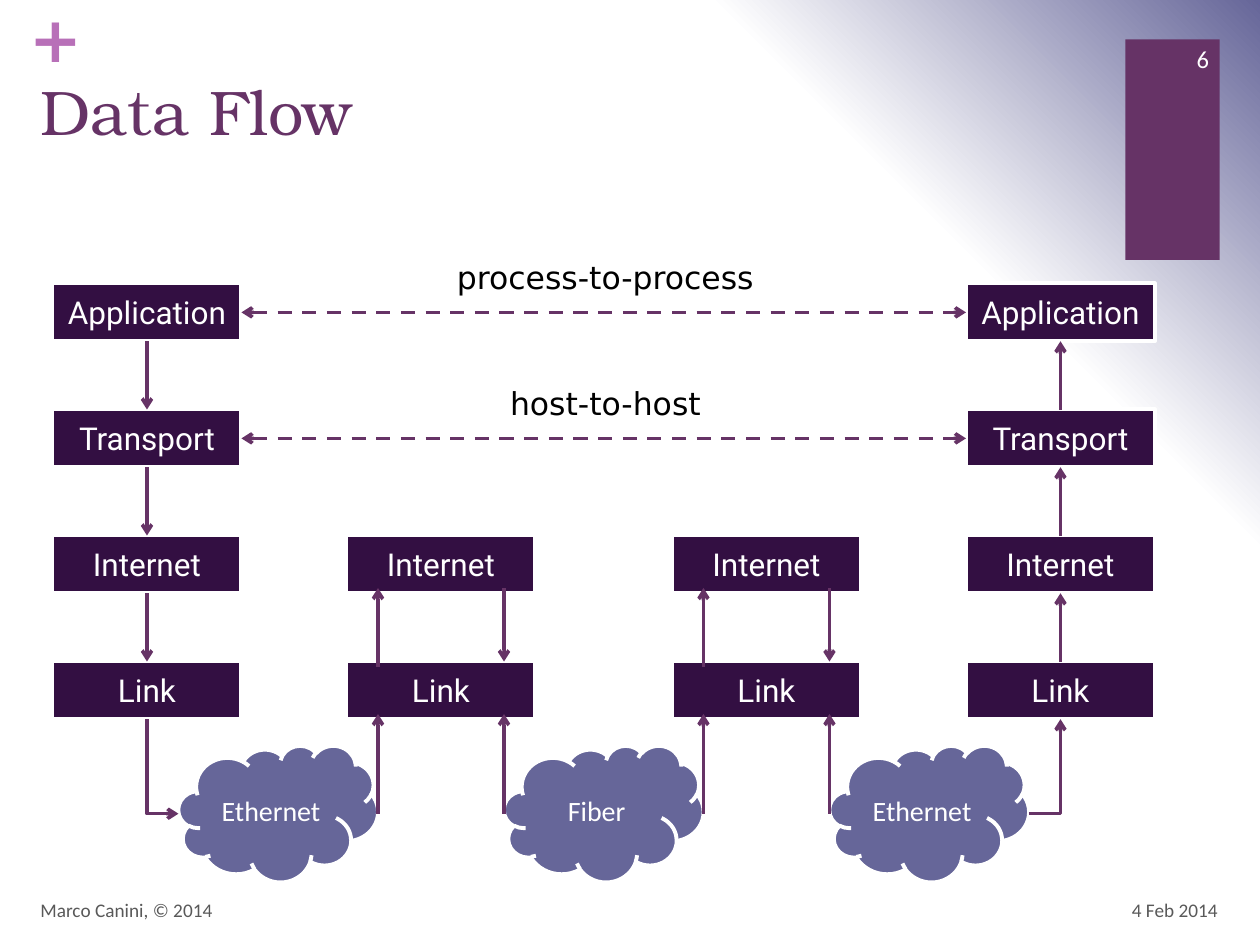
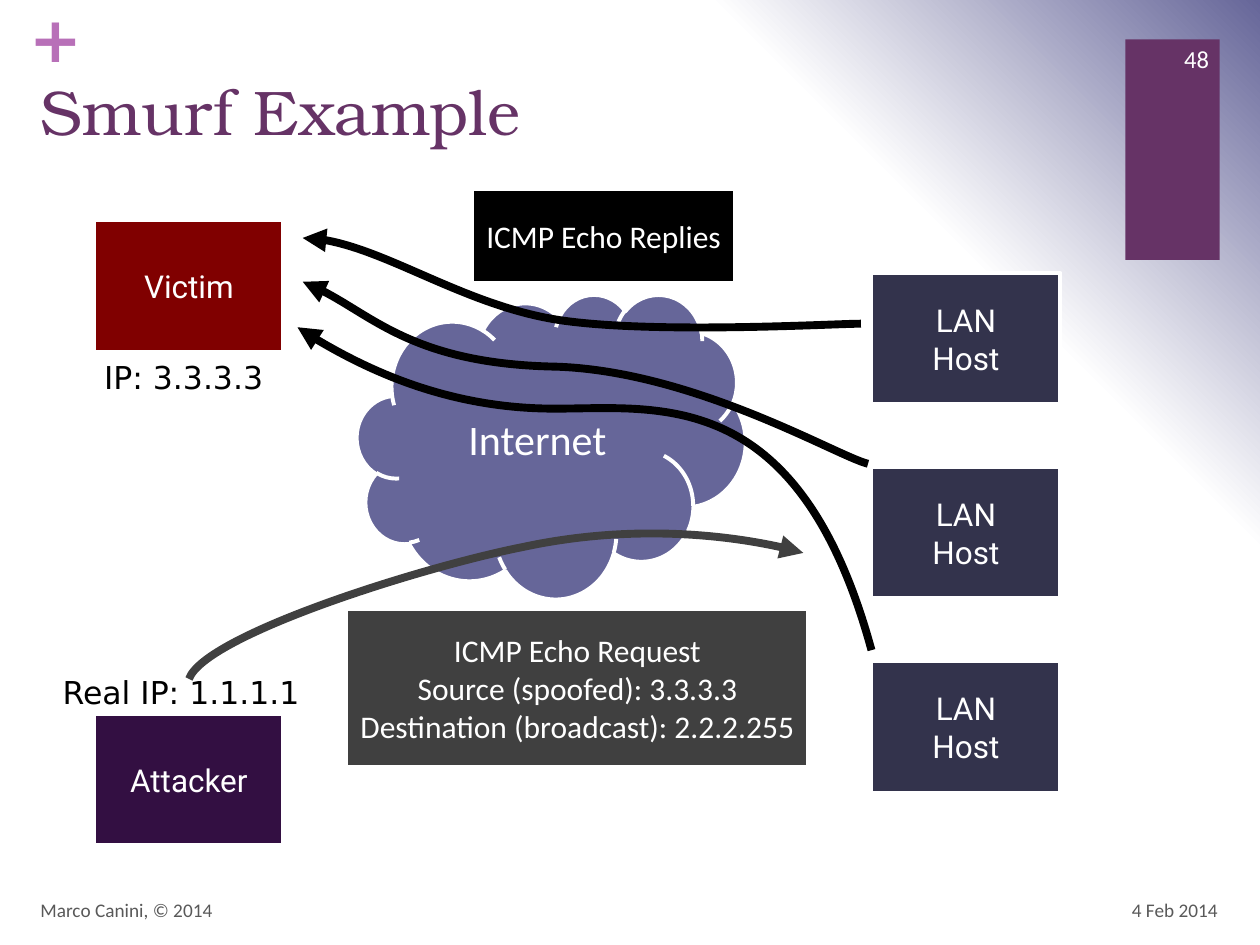
from lxml.etree import SubElement
from pptx import Presentation
from pptx.dml.color import RGBColor
from pptx.enum.dml import MSO_LINE
from pptx.enum.shapes import MSO_CONNECTOR, MSO_SHAPE
from pptx.enum.text import MSO_ANCHOR, MSO_AUTO_SIZE, PP_ALIGN
from pptx.oxml import parse_xml
from pptx.oxml.ns import nsdecls, qn
from pptx.util import Pt

PLUM = RGBColor(0x66, 0x33, 0x66)
DARK_PURPLE = RGBColor(0x33, 0x0F, 0x42)
ORCHID = RGBColor(0xB8, 0x70, 0xB8)
SLATE = RGBColor(0x66, 0x66, 0x99)
NAVY = RGBColor(0x33, 0x33, 0x4C)
MAROON = RGBColor(0x80, 0x00, 0x00)
CHARCOAL = RGBColor(0x40, 0x40, 0x40)
GREY = RGBColor(0x59, 0x59, 0x59)
BLACK = RGBColor(0, 0, 0)
WHITE = RGBColor(0xFF, 0xFF, 0xFF)

TITLE_FONT = "TeX Gyre Bonum"
BODY_FONT = "Calibri"
BOX_FONT = "Roboto"
LABEL_FONT = "DejaVu Sans"


def add_block(slide, preset, bounds, text, fill=None, font=BODY_FONT, size=18,
              color=WHITE, align=PP_ALIGN.CENTER, anchor=MSO_ANCHOR.MIDDLE):
    """Add a filled, outlined shape with text, or a text box if preset is None."""
    left, top, width, height = map(Pt, bounds)
    if preset is None:
        shape = slide.shapes.add_textbox(left, top, width, height)
    else:
        shape = slide.shapes.add_shape(preset, left, top, width, height)
        shape.shadow.inherit = False
        shape.fill.solid()
        shape.fill.fore_color.rgb = fill
        shape.line.color.rgb = WHITE
        shape.line.width = Pt(2.25)
    frame = shape.text_frame
    frame.word_wrap = True
    frame.vertical_anchor = anchor
    frame.text = text
    for paragraph in frame.paragraphs:
        paragraph.alignment = align
        paragraph.font.name = font
        paragraph.font.size = Pt(size)
        paragraph.font.color.rgb = color
    return shape


def style_line(shape, color=PLUM, width=2, head=None, tail="arrow", dash=None):
    """Colour a connector or curve, set its arrowheads and drop its shadow."""
    shape.line.color.rgb = color
    shape.line.width = Pt(width)
    if dash:
        shape.line.dash_style = dash
    outline = shape.line._get_or_add_ln()
    for end, kind in (("a:headEnd", head), ("a:tailEnd", tail)):
        if kind:
            SubElement(outline, qn(end), type=kind)
    SubElement(shape._element.spPr, qn("a:effectLst"))


presentation = Presentation()
presentation.slide_width = Pt(720)
presentation.slide_height = Pt(540)

# Shared background: white, shading to slate in the top right corner
background_fill = presentation.slide_master.background.fill
background_fill.gradient()
gradient = presentation.slide_master._element.find(".//" + qn("a:gradFill"))
gradient.getparent().replace(gradient, parse_xml(
    f'<a:gradFill {nsdecls("a")} rotWithShape="1"><a:gsLst>'
    f'<a:gs pos="0"><a:srgbClr val="{WHITE}"/></a:gs>'
    f'<a:gs pos="75000"><a:srgbClr val="{WHITE}"/></a:gs>'
    f'<a:gs pos="100000"><a:srgbClr val="{SLATE}"/></a:gs></a:gsLst>'
    '<a:path path="circle"><a:fillToRect t="100000" r="100000"/></a:path>'
    '</a:gradFill>'))

# Shared frame: band, plus sign, title, footers and slide number
slides = []
for title_text, number in (("Data Flow", "6"), ("Smurf Example", "48")):
    slide = presentation.slides.add_slide(presentation.slide_layouts[5])
    slides.append(slide)
    band = add_block(slide, MSO_SHAPE.RECTANGLE, (643, 22.5, 54, 126), "", PLUM)
    band.line.fill.background()

    plus = add_block(slide, None, (17, 0, 21, 44), "+", font=LABEL_FONT, size=36,
                     color=ORCHID, align=PP_ALIGN.LEFT, anchor=MSO_ANCHOR.TOP)
    plus.text_frame.paragraphs[0].font.bold = True
    plus.text_frame.margin_left = plus.text_frame.margin_right = 0
    plus.text_frame.margin_top = plus.text_frame.margin_bottom = 0

    title = slide.shapes.title
    title.left, title.top, title.width, title.height = Pt(16), Pt(38), Pt(618), Pt(88)
    title.text_frame.text = title_text
    title.text_frame.auto_size = MSO_AUTO_SIZE.NONE
    title.text_frame.vertical_anchor = MSO_ANCHOR.TOP
    paragraph = title.text_frame.paragraphs[0]
    paragraph.alignment = PP_ALIGN.LEFT
    paragraph.font.name = TITLE_FONT
    paragraph.font.size = Pt(36)
    paragraph.font.color.rgb = PLUM

    add_block(slide, None, (535, 505.5, 168, 29), "4 Feb 2014", size=11,
              color=GREY, align=PP_ALIGN.RIGHT)
    add_block(slide, None, (16, 505.5, 482, 29), "Marco Canini, © 2014", size=11,
              color=GREY, align=PP_ALIGN.LEFT)
    add_block(slide, None, (654, 19, 44, 29), number, size=14, align=PP_ALIGN.RIGHT)

data_flow, smurf = slides

# Data Flow: protocol stacks of the two hosts and the two routers
LAYERS = ("Application", "Transport", "Internet", "Link")
BOX_WIDTH, BOX_HEIGHT = 108, 33
ROW_TOPS = [162 + 72 * row for row in range(4)]
ROUTER_LEFTS = (198, 384)
stacks = []
for left, first_layer in ((30, 0), (198, 2), (384, 2), (552, 0)):
    stacks.append([
        add_block(data_flow, MSO_SHAPE.RECTANGLE, (left, top, BOX_WIDTH, BOX_HEIGHT),
                  layer, DARK_PURPLE, BOX_FONT)
        for layer, top in list(zip(LAYERS, ROW_TOPS))[first_layer:]])
sender, receiver = stacks[0], stacks[-1]

# Data Flow: networks
for position, network in enumerate(("Ethernet", "Fiber", "Ethernet")):
    add_block(data_flow, MSO_SHAPE.CLOUD, (102 + 186 * position, 426, 114, 78),
              network, SLATE, size=16)

# Data Flow: arrows down the sender, up the receiver and between peers
links = [(upper, 2, lower, 0) for upper, lower in zip(sender, sender[1:])]
links += [(lower, 0, upper, 2) for upper, lower in zip(receiver, receiver[1:])]
peers = [(sender[row], 3, receiver[row], 1) for row in range(2)]
for start, start_site, end, end_site in links + peers:
    arrow = data_flow.shapes.add_connector(MSO_CONNECTOR.STRAIGHT, 0, 0, 0, 0)
    arrow.begin_connect(start, start_site)
    arrow.end_connect(end, end_site)
    if start_site == 3:
        style_line(arrow, head="arrow", dash=MSO_LINE.DASH)
    else:
        style_line(arrow)

# Data Flow: arrows through the routers
for left in ROUTER_LEFTS:
    inbound, outbound = left + 18, left + 90
    for x, start_y, end_y in ((inbound, 465, 408), (inbound, 381, 336),
                              (outbound, 336, 378), (outbound, 465, 408)):
        arrow = data_flow.shapes.add_connector(
            MSO_CONNECTOR.STRAIGHT, Pt(x), Pt(start_y), Pt(x), Pt(end_y))
        style_line(arrow)

# Data Flow: bent arrows between the host links and the outer networks
for cloud_x, host_x, head, tail in ((102, 84, "arrow", None), (588, 606, None, "arrow")):
    bend = data_flow.shapes.add_connector(
        MSO_CONNECTOR.ELBOW, Pt(cloud_x), Pt(465), Pt(host_x), Pt(411))
    bend._element.spPr.find(qn("a:prstGeom")).set("prst", "bentConnector2")
    style_line(bend, head=head, tail=tail)

for top, caption in ((144, "process-to-process"), (216, "host-to-host")):
    label = add_block(data_flow, None, (252, top, 188, 29), caption, font=LABEL_FONT,
                      color=BLACK, anchor=MSO_ANCHOR.TOP)
    label.text_frame.word_wrap = False

# Smurf Example: machines and network
add_block(smurf, MSO_SHAPE.CLOUD, (204, 168, 222, 174), "Internet", SLATE, size=24)
machines = [(54, 408, "Attacker", DARK_PURPLE), (54, 126, "Victim", MAROON)]
machines += [(498, 156 + 111 * row, "LAN\nHost", NAVY) for row in range(3)]
for left, top, name, fill in machines:
    add_block(smurf, MSO_SHAPE.RECTANGLE, (left, top, 108, 75), name, fill, BOX_FONT)

# Smurf Example: curved arrows, each a start point and two cubic segments
CURVES = (
    (BLACK, [(492, 185), (477, 185), (374, 191), (320, 183),
             (267, 175), (212, 136), (173, 136)]),
    (BLACK, [(496, 265), (479, 261), (397, 212), (317.5, 209.5),
             (238, 208), (206, 174), (173, 161)]),
    (CHARCOAL, [(108, 388), (117, 363), (241, 324), (299.5, 312.5),
                (358, 300), (426, 306), (459, 316)]),
    (BLACK, [(498, 371.5), (456, 217.5), (374, 234), (314.5, 233.5),
             (255, 233), (196, 205), (170, 187)]),
)
for color, points in CURVES:
    start, *controls = [(Pt(x), Pt(y)) for x, y in points]
    builder = smurf.shapes.build_freeform(*start)
    builder.add_line_segments(controls, close=False)
    curve = builder.convert_to_shape()
    curve.fill.background()
    outline_path = curve._element.find(".//" + qn("a:path"))
    segments = outline_path.findall(qn("a:lnTo"))
    for first in range(0, len(segments), 3):
        cubic = SubElement(outline_path, qn("a:cubicBezTo"))
        for segment in segments[first:first + 3]:
            cubic.append(segment[0])
            outline_path.remove(segment)
    style_line(curve, color, 4.5, tail="triangle")

# Smurf Example: addresses and messages
for bounds, address in (((24, 381, 159, 29), "Real IP: 1.1.1.1"),
                        ((48, 201, 114, 29), "IP: 3.3.3.3")):
    label = add_block(smurf, None, bounds, address, font=LABEL_FONT,
                      color=BLACK, anchor=MSO_ANCHOR.TOP)
    label.text_frame.word_wrap = False
add_block(smurf, MSO_SHAPE.RECTANGLE, (198, 348, 264, 90),
          "ICMP Echo Request\vSource (spoofed): 3.3.3.3\v"
          "Destination (broadcast): 2.2.2.255", CHARCOAL)
add_block(smurf, MSO_SHAPE.RECTANGLE, (270, 108, 150, 54), "ICMP Echo Replies", BLACK)

presentation.save("out.pptx")
